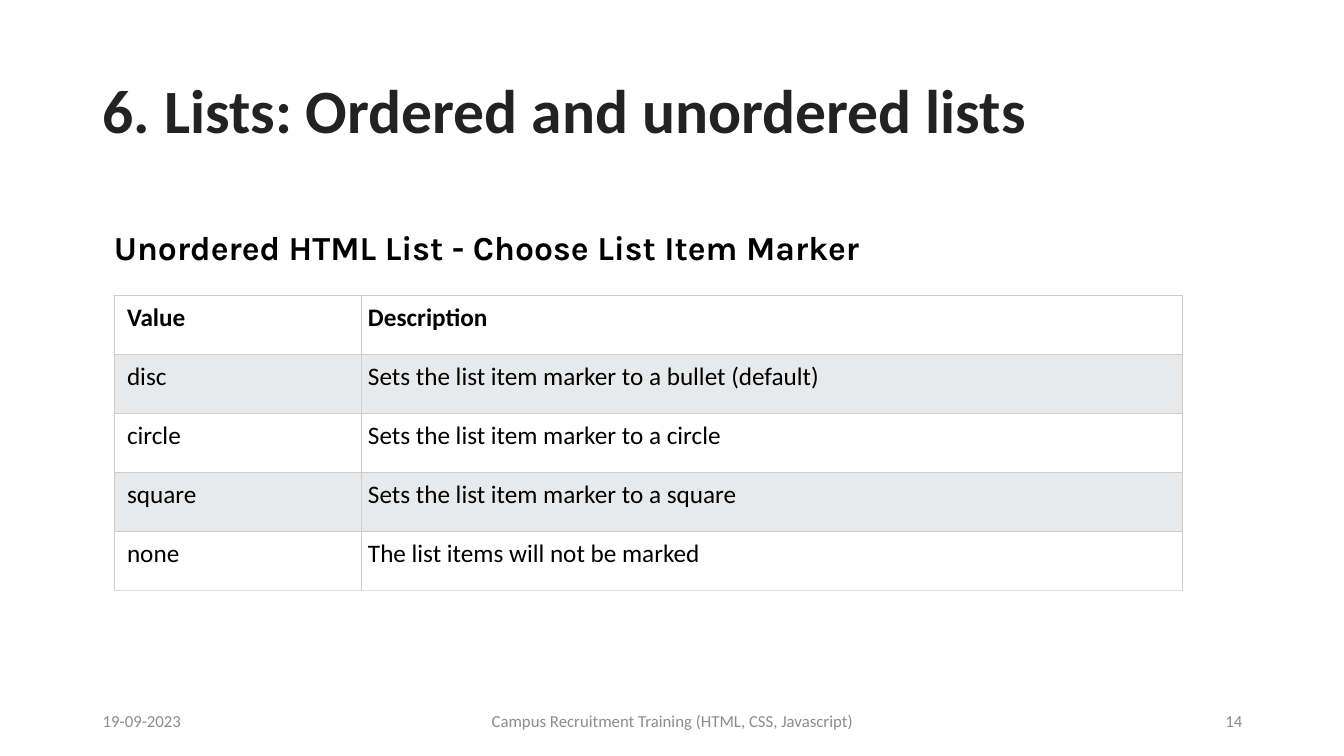
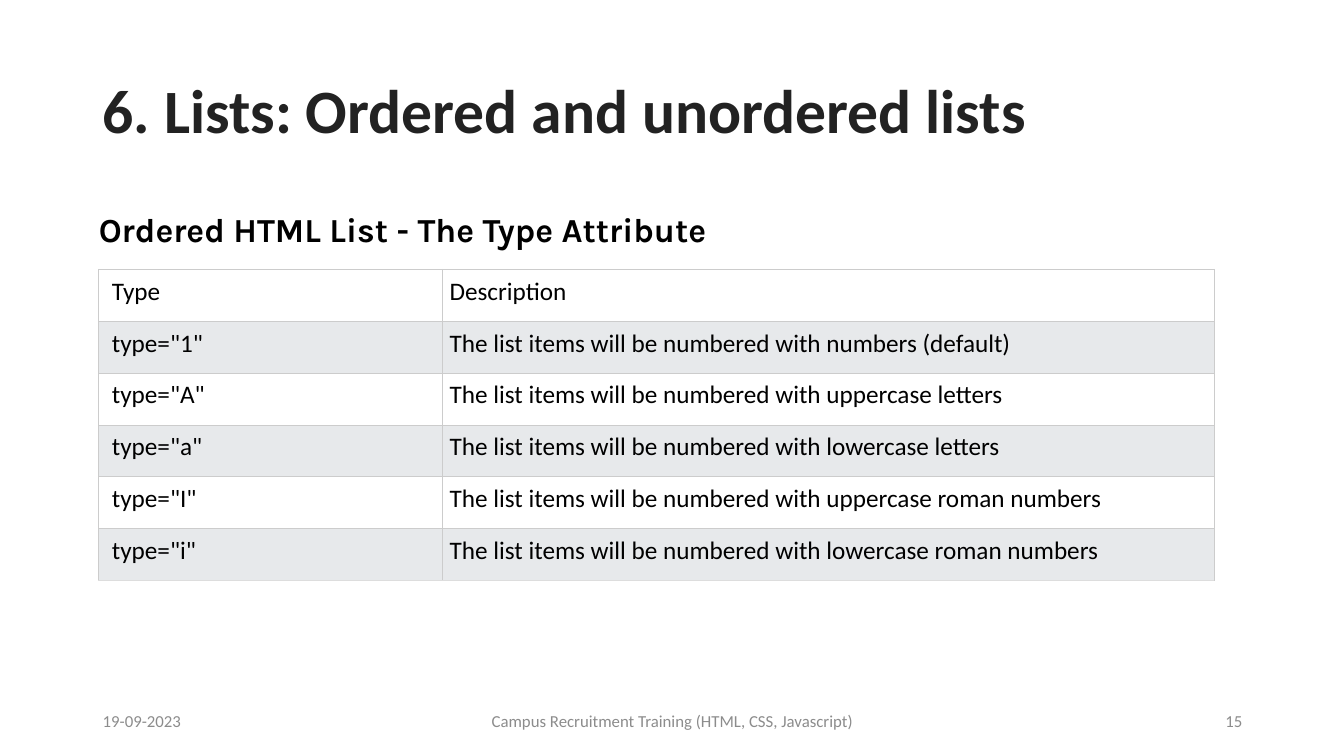
from lxml.etree import SubElement
from pptx import Presentation
from pptx.dml.color import RGBColor
from pptx.enum.shapes import MSO_SHAPE
from pptx.enum.text import MSO_ANCHOR, MSO_AUTO_SIZE, PP_ALIGN
from pptx.oxml.ns import qn
from pptx.util import Inches, Pt

WHITE = RGBColor(0xFF, 0xFF, 0xFF)
BLACK = RGBColor(0x00, 0x00, 0x00)
TITLE_INK = RGBColor(0x22, 0x22, 0x22)
FOOTER_GREY = RGBColor(0x8C, 0x8C, 0x8C)
BAND_GREY = RGBColor(0xE7, 0xE9, 0xEB)
GRID_GREY = RGBColor(0xCC, 0xCC, 0xCC)
BOTTOM_GREY = RGBColor(0xDD, 0xDD, 0xDD)

BODY_FONT = "Calibri"
HEADING_FONT = "Karla"
TITLE = "6. Lists: Ordered and unordered lists"
DATE = "19-09-2023"
COURSE = "Campus Recruitment Training (HTML, CSS, Javascript)"


class Deck:
    """Holds the shared style and the current slide."""

    def __init__(self):
        """Start a widescreen presentation."""
        self.presentation = Presentation()
        self.presentation.slide_width = Inches(13.33)
        self.presentation.slide_height = Inches(7.5)
        self.slide = None

    def add_slide(self, title, number):
        """Add a slide with its title and footer."""
        layout = self.presentation.slide_layouts[6]
        self.slide = self.presentation.slides.add_slide(layout)
        self.slide.background.fill.solid()
        self.slide.background.fill.fore_color.rgb = WHITE
        frame = self.text(title, 0.92, 0.4, 11.5, 1.45, 44, TITLE_INK, bold=True)
        frame.paragraphs[0].line_spacing = 0.9
        for text, left, width, align in (
            (DATE, 0.92, 3, PP_ALIGN.LEFT),
            (COURSE, 4.42, 4.5, PP_ALIGN.CENTER),
            (str(number), 9.42, 3, PP_ALIGN.RIGHT),
        ):
            self.text(text, left, 6.95, width, 0.4, 12, FOOTER_GREY, align=align)

    def add_text_run(self, frame, text, size, color, font=BODY_FONT, bold=False,
                     align=PP_ALIGN.LEFT):
        """Put one styled run into a text frame."""
        frame.word_wrap = True
        paragraph = frame.paragraphs[0]
        paragraph.alignment = align
        run = paragraph.add_run()
        run.text = text
        run.font.name = font
        run.font.size = Pt(size)
        run.font.bold = bold
        run.font.color.rgb = color

    def text(self, text, left, top, width, height, size, color, **style):
        """Add a vertically centred text box and return its frame."""
        box = self.slide.shapes.add_textbox(
            Inches(left), Inches(top), Inches(width), Inches(height))
        frame = box.text_frame
        frame.vertical_anchor = MSO_ANCHOR.MIDDLE
        self.add_text_run(frame, text, size, color, **style)
        return frame

    def heading(self, text, left, top, width):
        """Add the white heading bar above a table."""
        shape = self.slide.shapes.add_shape(
            MSO_SHAPE.RECTANGLE, Inches(left), Inches(top), Inches(width), Inches(0.54))
        shape.shadow.inherit = False
        shape.fill.solid()
        shape.fill.fore_color.rgb = WHITE
        shape.line.fill.background()
        frame = shape.text_frame
        frame.margin_left = frame.margin_right = 0
        frame.margin_top = frame.margin_bottom = Inches(0.07)
        frame.vertical_anchor = MSO_ANCHOR.MIDDLE
        frame.auto_size = MSO_AUTO_SIZE.SHAPE_TO_FIT_TEXT
        self.add_text_run(frame, text, 24, BLACK, font=HEADING_FONT, bold=True)

    def table(self, rows, left, top, widths, height, bold_header=False):
        """Add a two-tone table with equal row heights."""
        table = self.slide.shapes.add_table(
            len(rows), len(widths), Inches(left), Inches(top),
            Inches(sum(widths)), Inches(height)).table
        table.first_row = table.horz_banding = False
        for column, width in zip(table.columns, widths):
            column.width = Inches(width)
        for row_index, texts in enumerate(rows):
            table.rows[row_index].height = Inches(height / len(rows))
            last = row_index == len(rows) - 1
            for column_index, text in enumerate(texts):
                cell = table.cell(row_index, column_index)
                cell.margin_left = Inches(0.07 if column_index else 0.13)
                cell.margin_right = cell.margin_top = cell.margin_bottom = Inches(0.07)
                cell.fill.solid()
                cell.fill.fore_color.rgb = BAND_GREY if row_index % 2 else WHITE
                self.borders(cell, BOTTOM_GREY if last else GRID_GREY)
                self.add_text_run(cell.text_frame, text, 18, BLACK,
                                  bold=bold_header and row_index == 0)

    def borders(self, cell, bottom_color):
        """Draw thin lines on all four sides of a cell."""
        properties = cell._tc.get_or_add_tcPr()
        sides = (("L", GRID_GREY), ("R", GRID_GREY), ("T", GRID_GREY), ("B", bottom_color))
        for position, (side, color) in enumerate(sides):
            line = SubElement(properties, qn("a:ln" + side), w=str(int(Pt(0.6))))
            fill = SubElement(line, qn("a:solidFill"))
            SubElement(fill, qn("a:srgbClr"), val=str(color))
            properties.insert(position, line)


def unordered_slide(deck):
    """Build the slide on markers of unordered lists."""
    markers = [
        ("Value", "Description"),
        ("disc", "Sets the list item marker to a bullet (default)"),
        ("circle", "Sets the list item marker to a circle"),
        ("square", "Sets the list item marker to a square"),
        ("none", "The list items will not be marked"),
    ]
    deck.add_slide(TITLE, 14)
    deck.table(markers, 1.13, 2.93, (2.45, 8.15), 2.93, bold_header=True)
    deck.heading("Unordered HTML List - Choose List Item Marker", 1.13, 2.18, 9.67)


def ordered_slide(deck):
    """Build the slide on the type attribute of ordered lists."""
    numberings = (
        ("1", "numbers (default)"),
        ("A", "uppercase letters"),
        ("a", "lowercase letters"),
        ("I", "uppercase roman numbers"),
        ("i", "lowercase roman numbers"),
    )
    rows = [("Type", "Description")]
    rows += [(f'type="{mark}"', f"The list items will be numbered with {style}")
             for mark, style in numberings]
    deck.add_slide(TITLE, 15)
    deck.table(rows, 0.98, 2.67, (3.41, 7.65), 3.09)
    deck.heading("Ordered HTML List - The Type Attribute", 0.98, 2, 6.61)


deck = Deck()
unordered_slide(deck)
ordered_slide(deck)
deck.presentation.save("out.pptx")
